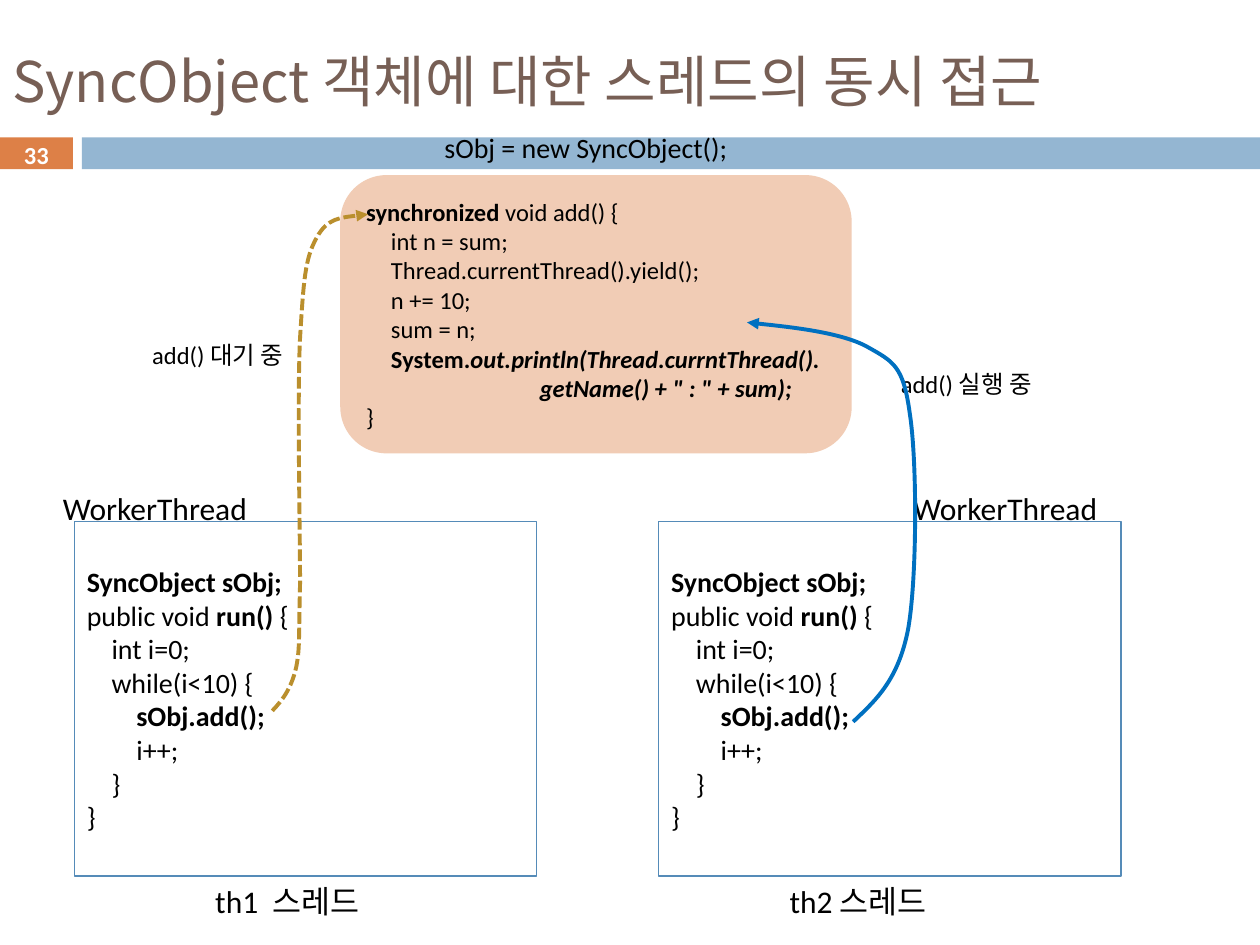
from lxml.etree import SubElement
from pptx import Presentation
from pptx.dml.color import RGBColor
from pptx.enum.dml import MSO_LINE
from pptx.enum.shapes import MSO_SHAPE
from pptx.enum.text import MSO_ANCHOR, MSO_AUTO_SIZE, PP_ALIGN
from pptx.oxml.ns import qn
from pptx.util import Cm, Pt

LATIN = "Calibri"
KOREAN = "Noto Sans CJK KR"
BLACK = "000000"
TAB_STEP = 0.5

ADD_METHOD = [
    [("synchronized", "b"), (" void add() {", "")],
    [("\tint n = sum;", "")],
    [("\tThread.currentThread().yield();", "")],
    [("\tn += 10;", "")],
    [("\tsum = n;", "")],
    [("\tSystem.", "b"), ("out.println(Thread.currntThread().", "bi")],
    [("\t\t\t\t\t\t\tgetName() + \" : \" + sum);", "bi")],
    [("}", "")],
]

RUN_METHOD = [
    [("SyncObject sObj;", "b")],
    [("public void ", ""), ("run() ", "b"), ("{", "")],
    [("\tint i=0;", "")],
    [("\twhile(i<10) {", "")],
    [("\t\t", ""), ("sObj.add();", "b")],
    [("\t\ti++;", "")],
    [("\t}", "")],
    [("}", "")],
]

LABELS = [
    ("sObj = new SyncObject();", 8.71, 2.51, 7.01, 0.94, 16),
    ("th1  스레드", 4.09, 17.65, 3.81, 1.02, 18),
    ("th2 스레드", 15.67, 17.65, 3.63, 1.02, 18),
    ("WorkerThread", 1.02, 9.73, 4.8, 1.02, 18),
    ("WorkerThread", 18.16, 9.73, 4.8, 1.02, 18),
    ("add() 실행 중", 17.91, 7.32, 3.53, 0.86, 14),
    ("add() 대기 중", 2.82, 6.73, 3.53, 0.86, 14),
]

WAITING_CALL = [
    (5.49, 14.33), (5.69, 14.12), (5.87, 13.89), (5.97, 13.46),
    (6.05, 13.06), (6.02, 12.88), (6.05, 11.76),
    (6.05, 10.67), (5.99, 7.98), (6.05, 6.81),
    (6.12, 5.66), (6.15, 5.21), (6.38, 4.8),
    (6.6, 4.39), (7.01, 4.37), (7.42, 4.32),
]

RUNNING_CALL = [
    (17.2, 14.55), (17.65, 14.12), (18.11, 13.72), (18.31, 12.67),
    (18.49, 11.63), (18.49, 9.27), (18.34, 8.33),
    (18.21, 7.37), (18.01, 7.29), (17.48, 6.99),
    (16.92, 6.68), (15.06, 6.5), (15.06, 6.5),
]


def rgb(value):
    """Turn a hex string into a colour."""
    return RGBColor.from_string(value)


def format_run(run, size, color=BLACK, style="", font=LATIN):
    """Set the typeface, size, colour and weight of a run."""
    run.font.name = font
    run.font.size = Pt(size)
    run.font.bold = "b" in style
    run.font.italic = "i" in style
    run.font.color.rgb = rgb(color)
    east_asian = SubElement(run._r.get_or_add_rPr(), qn("a:ea"))
    east_asian.set("typeface", KOREAN)


def add_block(slide, kind, left, top, width, height, fill=None, line=None):
    """Add a preset shape with an optional fill and outline."""
    block = slide.shapes.add_shape(kind, Cm(left), Cm(top), Cm(width), Cm(height))
    block.shadow.inherit = False
    if fill:
        block.fill.solid()
        block.fill.fore_color.rgb = rgb(fill)
    else:
        block.fill.background()
    if line:
        block.line.color.rgb = rgb(line)
        block.line.width = Pt(0.75)
    else:
        block.line.fill.background()
    return block


def write_code(block, code, size):
    """Fill a block with code lines indented by tab stops."""
    frame = block.text_frame
    frame.word_wrap = True
    frame.vertical_anchor = MSO_ANCHOR.MIDDLE
    for number, line in enumerate(code):
        paragraph = frame.add_paragraph() if number else frame.paragraphs[0]
        paragraph.alignment = PP_ALIGN.LEFT
        stops = SubElement(paragraph._p.get_or_add_pPr(), qn("a:tabLst"))
        for step in range(8):
            stop = SubElement(stops, qn("a:tab"))
            stop.set("pos", str(Cm(step * TAB_STEP)))
            stop.set("algn", "l")
        for text, style in line:
            run = paragraph.add_run()
            run.text = text
            format_run(run, size, style=style)


def add_text(slide, text, left, top, width, height, size, **look):
    """Add a one-line text box."""
    box = slide.shapes.add_textbox(Cm(left), Cm(top), Cm(width), Cm(height))
    box.text_frame.text = text
    format_run(box.text_frame.paragraphs[0].runs[0], size, **look)
    return box.text_frame


def add_label(slide, *label):
    """Add a label whose box grows with its text."""
    frame = add_text(slide, *label)
    frame.word_wrap = False
    frame.auto_size = MSO_AUTO_SIZE.SHAPE_TO_FIT_TEXT


def add_call_arrow(slide, points, color, dash=None):
    """Draw a curved arrow through cubic segments of three points each."""
    start, *controls = [(Cm(x), Cm(y)) for x, y in points]
    builder = slide.shapes.build_freeform(*start)
    builder.add_line_segments(controls, close=False)
    arrow = builder.convert_to_shape()
    arrow.shadow.inherit = False
    arrow.fill.background()
    arrow.line.color.rgb = rgb(color)
    arrow.line.width = Pt(2.25)
    if dash:
        arrow.line.dash_style = dash
    tip = SubElement(arrow.element.spPr.get_or_add_ln(), qn("a:tailEnd"))
    tip.set("type", "triangle")
    outline = arrow.element.xpath(".//a:path")[0]
    segments = outline.findall(qn("a:lnTo"))
    for first in range(0, len(segments), 3):
        curve = SubElement(outline, qn("a:cubicBezTo"))
        for segment in segments[first:first + 3]:
            curve.append(segment[0])
            outline.remove(segment)


def main():
    """Build the slide and save it."""
    deck = Presentation()
    deck.slide_width, deck.slide_height = Cm(25.4), Cm(19.05)
    slide = deck.slides.add_slide(deck.slide_layouts[6])

    add_block(slide, MSO_SHAPE.RECTANGLE, 0, 2.77, 1.47, 0.64, fill="DD8047")
    add_block(slide, MSO_SHAPE.RECTANGLE, 1.65, 2.77, 23.75, 0.64, fill="94B6D2")
    title = add_text(slide, "SyncObject 객체에 대한 스레드의 동시 접근",
                     0, 0.64, 25.4, 1.96, 32, color="775F55", font=KOREAN)
    title.word_wrap = True
    title.vertical_anchor = MSO_ANCHOR.MIDDLE

    shared_object = add_block(slide, MSO_SHAPE.ROUNDED_RECTANGLE,
                              6.86, 3.53, 10.31, 5.61, fill="F1CCB5")
    write_code(shared_object, ADD_METHOD, 14)
    for left in (1.5, 13.28):
        worker = add_block(slide, MSO_SHAPE.RECTANGLE,
                           left, 10.52, 9.32, 7.14, line="558BB8")
        write_code(worker, RUN_METHOD, 16)

    for label in LABELS:
        add_label(slide, *label)
    add_call_arrow(slide, WAITING_CALL, "BA8F2D", MSO_LINE.SQUARE_DOT)
    add_call_arrow(slide, RUNNING_CALL, "0070C0")

    page_number = add_text(slide, "33", 0, 2.77, 1.47, 0.69, 14,
                           color="FFFFFF", style="b")
    page_number.word_wrap = True
    page_number.vertical_anchor = MSO_ANCHOR.MIDDLE
    page_number.paragraphs[0].alignment = PP_ALIGN.CENTER

    deck.save("out.pptx")


if __name__ == "__main__":
    main()
